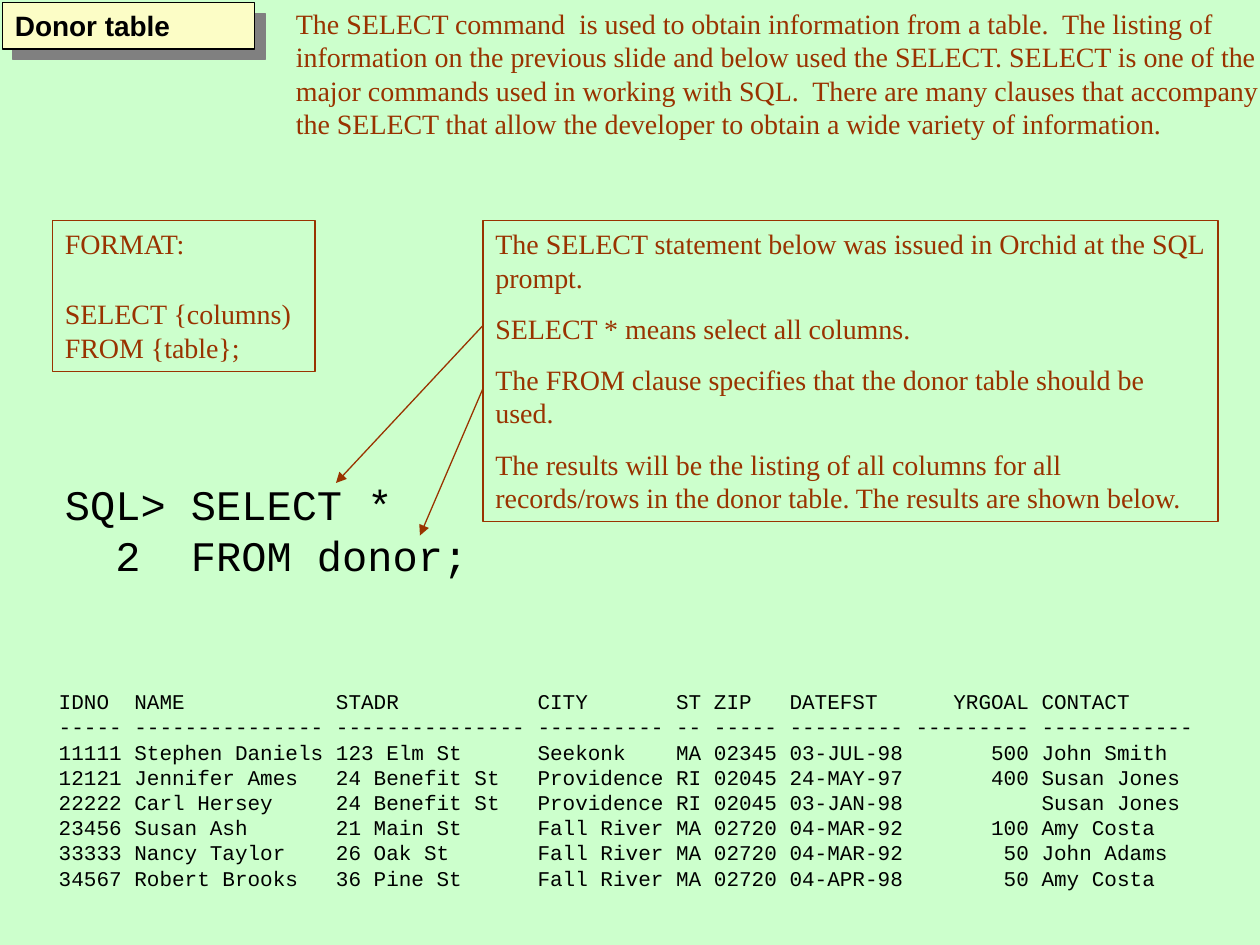
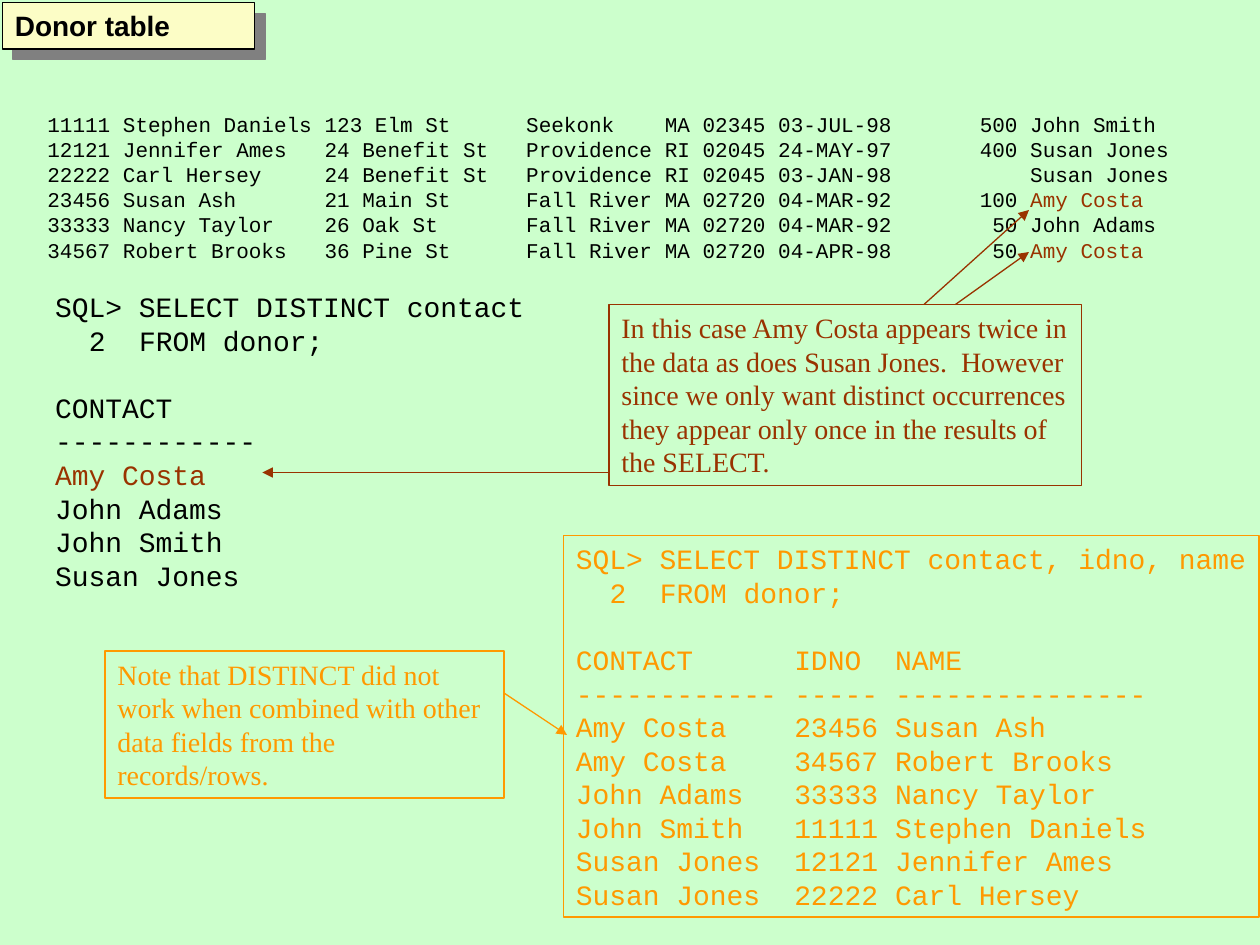
from lxml import etree
from pptx import Presentation
from pptx.dml.color import RGBColor
from pptx.enum import shapes, text
from pptx.oxml import ns
from pptx.util import Pt

COLORS = {
    "background": "CCFFCC",
    "title_fill": "FCFDC6",
    "shadow": "808080",
    "ink": "000000",
    "rust": "993300",
    "orange": "FF9900",
}
TITLE_FONT, NOTE_FONT, CODE_FONT = "Arial", "Times New Roman", "Courier New"
CHAR_WIDTH = 0.6
REPEATED_CONTACT = "Amy Costa"

PROMPT_STOPS = [(3, "r"), (5, "l")]
DONOR_STOPS = [(6, "l"), (22, "l"), (38, "l"), (49, "l"), (52, "l"),
               (58, "l"), (77, "r"), (78, "l")]
DONOR_WIDTHS = [5, 15, 15, 10, 2, 5, 9, 9, 12]
DONOR_HEADS = ["IDNO", "NAME", "STADR", "CITY", "ST", "ZIP",
               "DATEFST", "YRGOAL", "CONTACT"]
DONORS = [
    ["11111", "Stephen Daniels", "123 Elm St", "Seekonk", "MA", "02345",
     "03-JUL-98", "500", "John Smith"],
    ["12121", "Jennifer Ames", "24 Benefit St", "Providence", "RI", "02045",
     "24-MAY-97", "400", "Susan Jones"],
    ["22222", "Carl Hersey", "24 Benefit St", "Providence", "RI", "02045",
     "03-JAN-98", "", "Susan Jones"],
    ["23456", "Susan Ash", "21 Main St", "Fall River", "MA", "02720",
     "04-MAR-92", "100", "Amy Costa"],
    ["33333", "Nancy Taylor", "26 Oak St", "Fall River", "MA", "02720",
     "04-MAR-92", "50", "John Adams"],
    ["34567", "Robert Brooks", "36 Pine St", "Fall River", "MA", "02720",
     "04-APR-98", "50", "Amy Costa"],
]


def rgb(name):
    return RGBColor.from_string(COLORS[name])


def tabbed(rows):
    return ["\t".join(row) for row in rows]


def dashes(widths):
    return ["-" * width for width in widths]


def set_tabs(paragraph, stops, size):
    properties = paragraph._p.get_or_add_pPr()
    tab_list = etree.SubElement(properties, ns.qn("a:tabLst"))
    for column, align in stops:
        position = Pt(column * size * CHAR_WIDTH)
        etree.SubElement(tab_list, ns.qn("a:tab"), pos=str(position), algn=align)


def add_runs(paragraph, line, highlight):
    if not highlight or highlight not in line:
        paragraph.add_run().text = line
        return
    before, match, after = line.partition(highlight)
    for part in filter(None, (before, match, after)):
        run = paragraph.add_run()
        run.text = part
        if part == match:
            run.font.color.rgb = rgb("rust")


def write(frame, lines, font, size, color, bold=False, gaps=None, stops=(),
          highlight=None):
    frame.word_wrap = True
    frame.auto_size = text.MSO_AUTO_SIZE.NONE
    frame.vertical_anchor = text.MSO_ANCHOR.TOP
    for index, line in enumerate(lines):
        paragraph = frame.paragraphs[0] if index == 0 else frame.add_paragraph()
        paragraph.alignment = text.PP_ALIGN.LEFT
        paragraph.space_before = Pt((gaps or {}).get(index, 0))
        paragraph.font.name = font
        paragraph.font.size = Pt(size)
        paragraph.font.bold = bold
        paragraph.font.color.rgb = rgb(color)
        if stops:
            set_tabs(paragraph, stops, size)
        add_runs(paragraph, line, highlight)


def add_frame(slide, box, line, fill=None):
    frame = slide.shapes.add_shape(shapes.MSO_SHAPE.RECTANGLE, *map(Pt, box))
    frame.shadow.inherit = False
    frame.line.color.rgb = rgb(line)
    frame.line.width = Pt(0.75)
    if fill:
        frame.fill.solid()
        frame.fill.fore_color.rgb = rgb(fill)
    else:
        frame.fill.background()
    return frame


def add_note(slide, box, lines, color="rust", gaps=None):
    note = add_frame(slide, box, color)
    write(note.text_frame, lines, NOTE_FONT, 16, color, gaps=gaps)


def add_plain(slide, box, lines, font, size, color="ink", **style):
    plain = slide.shapes.add_textbox(*map(Pt, box))
    write(plain.text_frame, lines, font, size, color, **style)
    plain.text_frame.margin_right = 0


def add_arrow(slide, start, end, color="rust"):
    arrow = slide.shapes.add_connector(
        shapes.MSO_CONNECTOR.STRAIGHT, *map(Pt, start + end))
    arrow.line.color.rgb = rgb(color)
    arrow.line.width = Pt(0.75)
    etree.SubElement(arrow.line._get_or_add_ln(), ns.qn("a:tailEnd"), type="triangle")
    etree.SubElement(arrow._element.spPr, ns.qn("a:effectLst"))


def add_title(slide):
    title = add_frame(slide, (1.5, 1.5, 144, 26.5), "ink", "title_fill")
    effects = title._element.spPr.find(ns.qn("a:effectLst"))
    shadow = etree.SubElement(effects, ns.qn("a:outerShdw"), dist=str(Pt(8.5)),
                              dir="2700000", algn="ctr", rotWithShape="0")
    etree.SubElement(shadow, ns.qn("a:srgbClr"), val=COLORS["shadow"])
    write(title.text_frame, ["Donor table"], TITLE_FONT, 16, "ink", bold=True)


def new_slide(deck):
    slide = deck.slides.add_slide(deck.slide_layouts[6])
    slide.background.fill.solid()
    slide.background.fill.fore_color.rgb = rgb("background")
    add_title(slide)
    return slide


def build_select(deck):
    slide = new_slide(deck)
    add_plain(slide, (162, 0, 558, 104), [
        "The SELECT command  is used to obtain information from a table.  The "
        "listing of information on the previous slide and below used the SELECT. "
        "SELECT is one of the major commands used in working with SQL.  There are "
        "many clauses that accompany the SELECT that allow the developer to obtain "
        "a wide variety of information."], NOTE_FONT, 16, "rust")
    add_plain(slide, (26.5, 390, 670, 122),
              tabbed([DONOR_HEADS, dashes(DONOR_WIDTHS)] + DONORS),
              CODE_FONT, 12, stops=DONOR_STOPS)
    add_note(slide, (30, 126, 150, 86.5),
             ["FORMAT:", "SELECT {columns)", "FROM {table};"], gaps={1: 21})
    add_plain(slide, (30, 270, 245, 65), ["SQL> SELECT *", "\t2\tFROM donor;"],
              CODE_FONT, 24, stops=PROMPT_STOPS)
    add_note(slide, (276, 126, 420, 172), [
        "The SELECT statement below was issued in Orchid at the SQL prompt.",
        "SELECT * means select all columns.",
        "The FROM clause specifies that the donor table should be used.",
        "The results will be the listing of all columns for all records/rows in "
        "the donor table. The results are shown below."],
        gaps={1: 10, 2: 10, 3: 10})
    add_arrow(slide, (276, 186), (192, 276))
    add_arrow(slide, (276, 222), (240, 306))


def build_distinct(deck):
    slide = new_slide(deck)
    add_plain(slide, (20, 60, 670, 94), tabbed(DONORS), CODE_FONT, 12,
              stops=DONOR_STOPS, highlight=REPEATED_CONTACT)
    contacts = sorted({donor[-1] for donor in DONORS})
    add_plain(slide, (24.5, 162, 282, 180),
              ["SQL> SELECT DISTINCT contact", "\t2\tFROM donor;",
               "CONTACT", "-" * 12] + contacts,
              CODE_FONT, 16, gaps={2: 19.2}, stops=PROMPT_STOPS,
              highlight=REPEATED_CONTACT)
    add_note(slide, (348, 174, 270, 103.5), [
        "In this case Amy Costa appears twice in the data as does Susan Jones.  "
        "However since we only want distinct occurrences they appear only once in "
        "the results of the SELECT."])
    add_arrow(slide, (528, 174), (588, 120))
    add_arrow(slide, (546, 174), (588, 144))
    add_arrow(slide, (348, 270), (150, 270))

    add_frame(slide, (322, 306, 397.5, 218), "orange")
    add_plain(slide, (322, 306, 397.5, 48),
              ["SQL> SELECT DISTINCT contact, idno, name", "\t2\tFROM donor;"],
              CODE_FONT, 16, "orange", stops=PROMPT_STOPS)
    by_contact = sorted([donor[-1], donor[0], donor[1]] for donor in DONORS)
    add_plain(slide, (322, 363.6, 397.5, 160),
              tabbed([["CONTACT", "IDNO", "NAME"], dashes([12, 5, 15])] + by_contact),
              CODE_FONT, 16, "orange", stops=[(13, "l"), (19, "l")])
    add_note(slide, (60, 372, 228, 84), [
        "Note that DISTINCT did not work when combined with other data fields from "
        "the records/rows."], "orange")
    add_arrow(slide, (288, 396), (324, 420), "orange")


def main():
    deck = Presentation()
    deck.slide_width, deck.slide_height = Pt(720), Pt(540)
    build_select(deck)
    build_distinct(deck)
    deck.save("out.pptx")


if __name__ == "__main__":
    main()
